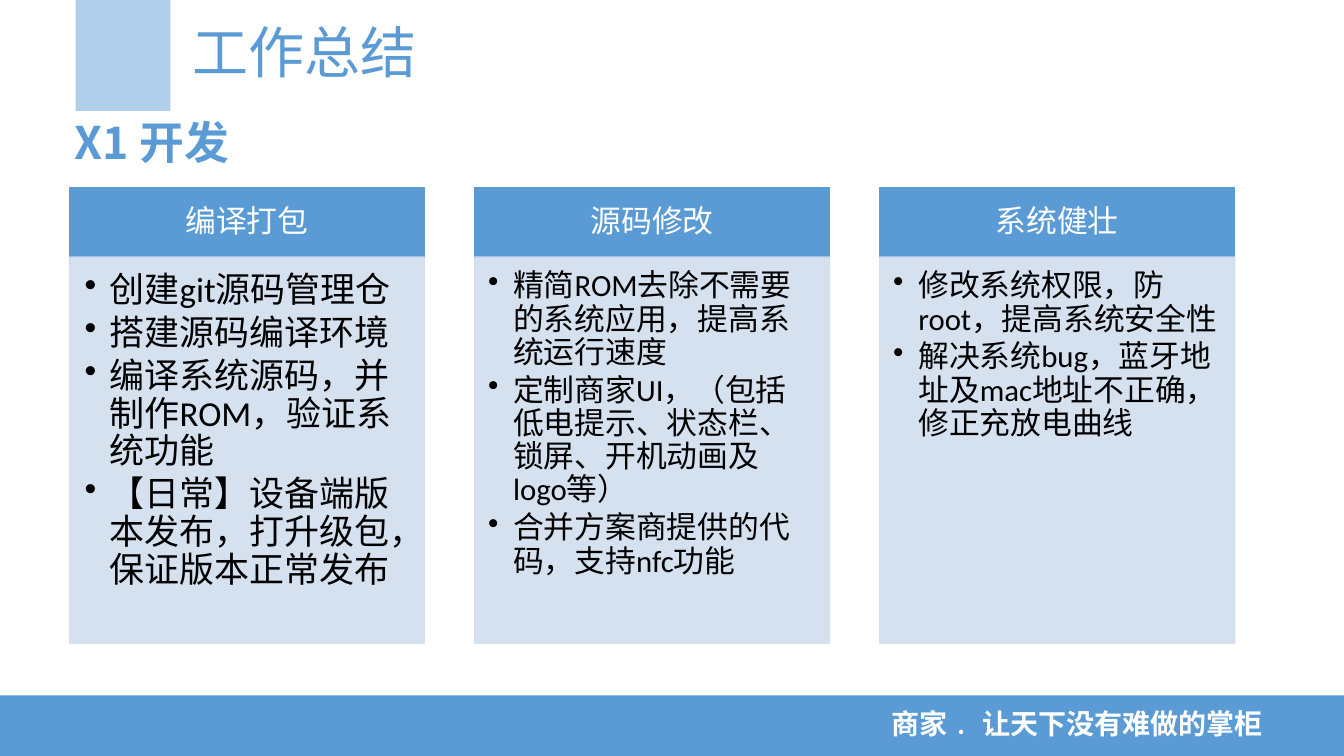
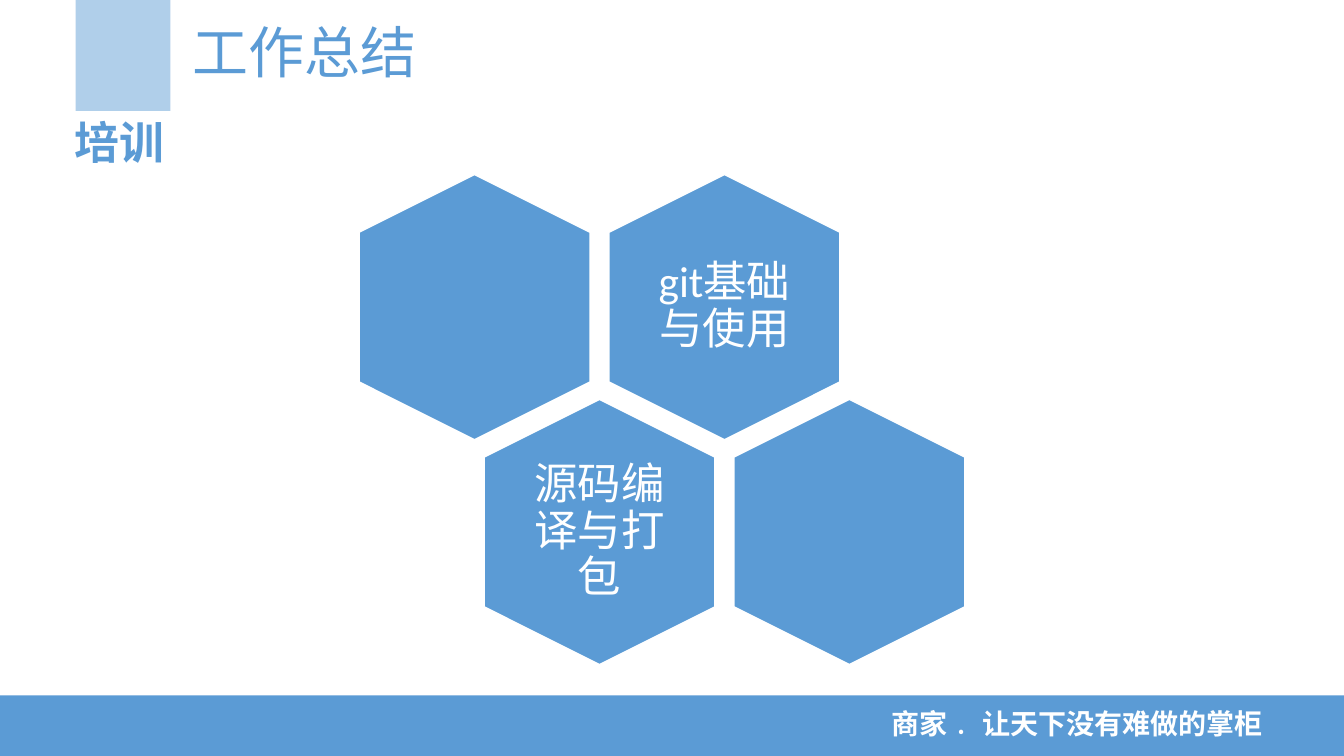
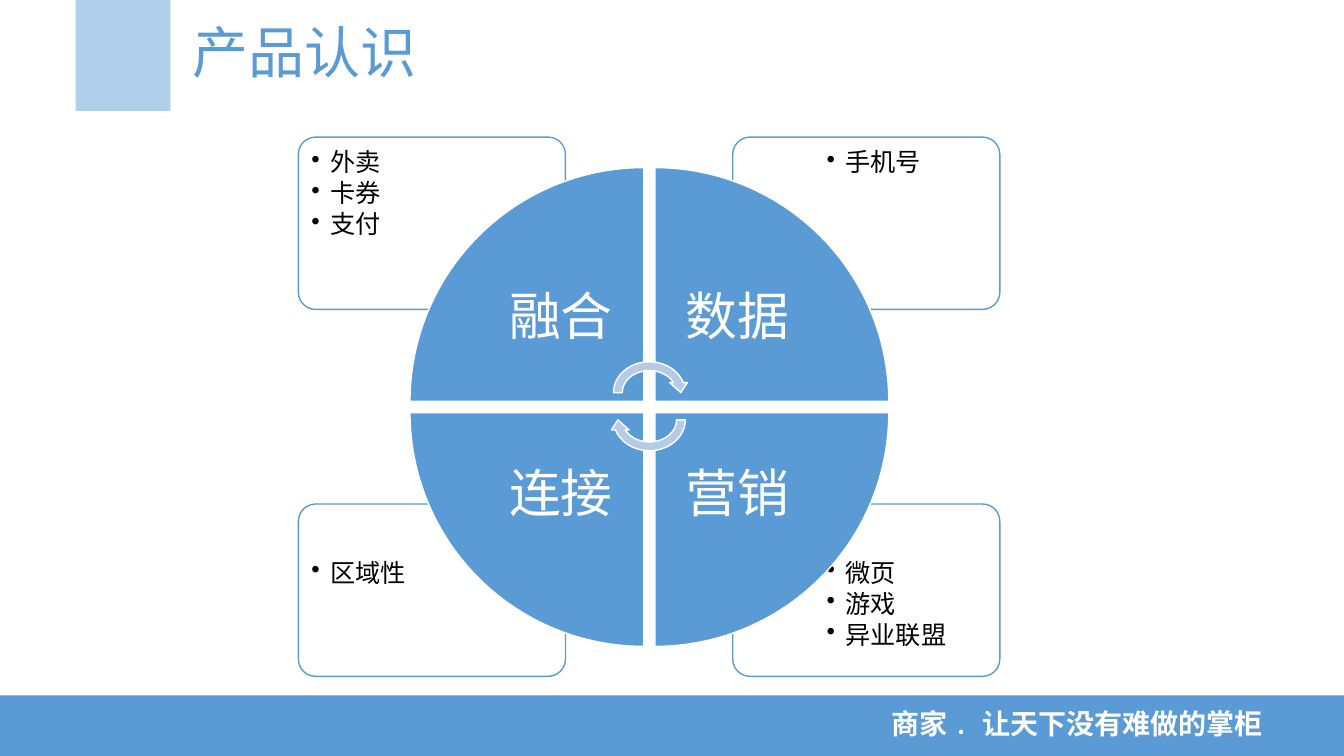
from lxml import etree
from pptx import Presentation
from pptx.dml.color import RGBColor
from pptx.enum.shapes import MSO_SHAPE
from pptx.enum.text import MSO_ANCHOR, MSO_AUTO_SIZE, PP_ALIGN
from pptx.oxml.ns import qn
from pptx.util import Pt

RECT, ROUND = MSO_SHAPE.RECTANGLE, MSO_SHAPE.ROUNDED_RECTANGLE
HEXAGON, WEDGE = MSO_SHAPE.HEXAGON, MSO_SHAPE.PIE_WEDGE
CIRCULAR = MSO_SHAPE.CIRCULAR_ARROW
LEFT, CENTER = PP_ALIGN.LEFT, PP_ALIGN.CENTER
TOP, MIDDLE = MSO_ANCHOR.TOP, MSO_ANCHOR.MIDDLE
GROW = MSO_AUTO_SIZE.SHAPE_TO_FIT_TEXT

COLORS = {"blue": "5B9BD5", "pale": "D2DEEF", "arrow": "B5CBE7",
          "white": "FFFFFF", "black": "000000"}
CJK, LATIN = "Noto Sans CJK SC", "Calibri"
INSETS = (7.2, 3.6, 7.2, 3.6)
TITLE_ONLY = 5


def rgb(name):
    """Return the named colour."""
    return RGBColor.from_string(COLORS[name])


def set_alpha(fill_parent, percent):
    """Make the solid fill below an element partly transparent."""
    clr = fill_parent.find(qn("a:solidFill"))[0]
    etree.SubElement(clr, qn("a:alpha"), val=str(percent * 1000))


def write(sp, lines, size=18, color="black", font=LATIN, bold=False,
          align=LEFT, anchor=TOP, insets=INSETS, spacing=None, after=0,
          indent=0, wrap=True, grow=False):
    """Fill a shape with paragraphs; after is a share of the text size."""
    tf = sp.text_frame
    tf.word_wrap = wrap
    tf.auto_size = GROW if grow else MSO_AUTO_SIZE.NONE
    tf.vertical_anchor = anchor
    (tf.margin_left, tf.margin_top,
     tf.margin_right, tf.margin_bottom) = [Pt(v) for v in insets]
    for i, line in enumerate(lines):
        p = tf.add_paragraph() if i else tf.paragraphs[0]
        p.alignment = align
        if spacing:
            p.line_spacing = spacing
            p.space_after = Pt(size * after)
        if indent:
            pPr = p._p.get_or_add_pPr()
            pPr.set("marL", str(Pt(indent)))
            pPr.set("indent", str(-Pt(indent)))
            etree.SubElement(pPr, qn("a:buChar"), char="•")
        r = p.add_run()
        r.text = line
        r.font.size, r.font.bold, r.font.name = Pt(size), bold, font
        r.font.color.rgb = rgb(color)
        etree.SubElement(r._r.get_or_add_rPr(), qn("a:ea"), typeface=CJK)
    return sp


def write_label(sp, label, size, inset):
    """Write a centred white diagram label."""
    return write(sp, [label], size=size, color="white", align=CENTER,
                 anchor=MIDDLE, insets=inset, spacing=0.9, after=0.35)


def write_list(sp, items, size, insets, indent):
    """Write a bulleted diagram list."""
    return write(sp, items, size=size, insets=insets, spacing=0.9,
                 after=0.15, indent=indent)


def add_shape(s, kind, box, fill, line=None, alpha=None, rotation=0):
    """Add a flat preset shape in a box of left, top, width, height."""
    sp = s.shapes.add_shape(kind, *[Pt(v) for v in box])
    sp.shadow.inherit = False
    sp.rotation = rotation
    sp.fill.solid()
    sp.fill.fore_color.rgb = rgb(fill)
    if alpha:
        set_alpha(sp._element.spPr, alpha)
    if line:
        sp.line.color.rgb = rgb(line)
        sp.line.width = Pt(1)
    else:
        sp.line.fill.background()
    return sp


def add_box(s, box):
    """Add an empty text box."""
    return s.shapes.add_textbox(*[Pt(v) for v in box])


def move_frame_to_layout(s, layout):
    """Draw the footer band and accent block, shared through the layout."""
    band = add_shape(s, RECT, (0, 496.8, 960, 43.2), "blue")
    slogan = write(add_box(s, (630, 501.1, 288.7, 31.5)),
                   ["商家﹒ 让天下没有难做的掌柜"], size=20, color="white",
                   font=CJK, bold=True, wrap=False, grow=True)
    accent = add_shape(s, RECT, (54, 0, 67.7, 79.2), "blue", alpha=48)
    for sp in (band, slogan, accent):
        layout.shapes.element.append(sp._element)


def add_slide(prs, title, subtitle=None):
    """Add a slide with its title and optional subtitle."""
    s = prs.slides.add_slide(prs.slide_layouts[TITLE_ONLY])
    sp = s.shapes.title
    sp.left, sp.top, sp.width, sp.height = [
        Pt(v) for v in (130.3, 8.6, 176.4, 55.4)]
    write(sp, [title], size=40, color="blue", font=CJK, wrap=False, grow=True)
    if subtitle:
        write(add_box(s, (46.1, 78.5, 833.8, 46)), [subtitle], size=32,
              color="blue", font=CJK, bold=True, grow=True)
    return s


def add_column(s, box, heading, items, size):
    """Add a heading bar with a list panel below it."""
    x, y, w, h = box
    bar = 49.7
    head = add_shape(s, RECT, (x, y, w, bar), "blue", line="blue")
    write_label(head, heading, 22, (12.3, 7, 12.3, 7))
    panel = add_shape(s, RECT, (x, y + bar, w, h - bar), "pale",
                      line="pale", alpha=90)
    set_alpha(panel.line._get_or_add_ln(), 90)
    pad = size * 0.43
    write_list(panel, items, size, (pad, pad, pad * 1.3, pad * 1.45), 18)


def add_honeycomb(s, box, rows):
    """Add rows of upright hexagons, each row shifted by half a step."""
    x, y, w, h = box
    step, drop = 178.5, 160.6
    for i, row in enumerate(rows):
        for j, label in enumerate(row):
            cx = x + w / 2 + (j + i / 2) * step
            cy = y + h / 2 + i * drop
            # The preset lies flat, so width and height swap when turned.
            sp = add_shape(s, HEXAGON, (cx - h / 2, cy - w / 2, h, w),
                           "blue", line="white", rotation=90)
            sp.adjustments[0] = 0.25
            if label:
                tw, th = 113.8, 130.3
                write_label(add_box(s, (cx - tw / 2, cy - th / 2, tw, th)),
                            label, 31, (9.4,) * 4)


def add_cycle(s, box, quadrants):
    """Add four corner lists around a wheel of wedges with arrows."""
    x, y, w, h = box
    card_w, card_h, list_w, list_h, edge = 190.8, 123.1, 128.2, 87.1, 2.4
    for col, row, _, _, items in quadrants:
        card = (x + col * (w - card_w), y + row * (h - card_h),
                card_w, card_h)
        sp = add_shape(s, ROUND, card, "white", line="blue", alpha=90)
        sp.adjustments[0] = 0.1
        lx = card[0] + (card_w - list_w - edge if col else edge)
        ly = card[1] + (card_h - list_h - edge if row else edge)
        write_list(add_box(s, (lx, ly, list_w, list_h)), items, 18,
                   (6.9,) * 4, 13.5)

    cx, cy = x + w / 2 + 0.2, y + h / 2 + 0.2
    radius, label_size, gap = 167, 118.1, 4
    for col, row, angle, label, _ in quadrants:
        def inner(size):
            """Return the square that touches the wheel's centre gap."""
            return (cx + gap if col else cx - gap - size,
                    cy + gap if row else cy - gap - size, size, size)
        add_shape(s, WEDGE, inner(radius), "blue", line="white",
                  rotation=angle)
        write_label(add_box(s, inner(label_size)), label, 37, (20.6,) * 4)

    arrow_w, arrow_h = 57.6, 50.4
    for offset, angle in ((-9.7, 0), (9.7, 180)):
        add_shape(s, CIRCULAR,
                  (cx - arrow_w / 2, cy + offset - arrow_h / 2 - 0.5,
                   arrow_w, arrow_h), "arrow", line="white", rotation=angle)


COLUMNS = [
    ("编译打包", 25, ["创建git源码管理仓", "搭建源码编译环境",
                  "编译系统源码，并制作ROM，验证系统功能",
                  "【日常】设备端版本发布，打升级包，保证版本正常发布"]),
    ("源码修改", 22, ["精简ROM去除不需要的系统应用，提高系统运行速度",
                  "定制商家UI，（包括低电提示、状态栏、锁屏、开机动画及logo等）",
                  "合并方案商提供的代码，支持nfc功能"]),
    ("系统健壮", 22, ["修改系统权限，防root，提高系统安全性",
                  "解决系统bug，蓝牙地址及mac地址不正确，修正充放电曲线"]),
]
TRAINING = [(None, "git基础与使用"), ("源码编译与打包", None)]
# Column, row, wedge rotation, label, list
QUADRANTS = [
    (0, 0, 0, "融合", ["外卖", "卡券", "支付"]),
    (1, 0, 90, "数据", ["手机号"]),
    (1, 1, 180, "营销", ["微页", "游戏", "异业联盟"]),
    (0, 1, 270, "连接", ["区域性"]),
]

prs = Presentation()
prs.slide_width, prs.slide_height = Pt(960), Pt(540)

s = add_slide(prs, "工作总结", "X1 开发")
move_frame_to_layout(s, prs.slide_layouts[TITLE_ONLY])
for i, (heading, size, items) in enumerate(COLUMNS):
    add_column(s, (49.7 + i * 289.4, 133.9, 253.4, 325.5),
               heading, items, size)

s = add_slide(prs, "工作总结", "培训")
add_honeycomb(s, (256.5, 124.7, 164.9, 189.4), TRAINING)

s = add_slide(prs, "产品认识")
add_cycle(s, (213.1, 97.9, 501.1, 385.2), QUADRANTS)

prs.save("out.pptx")
